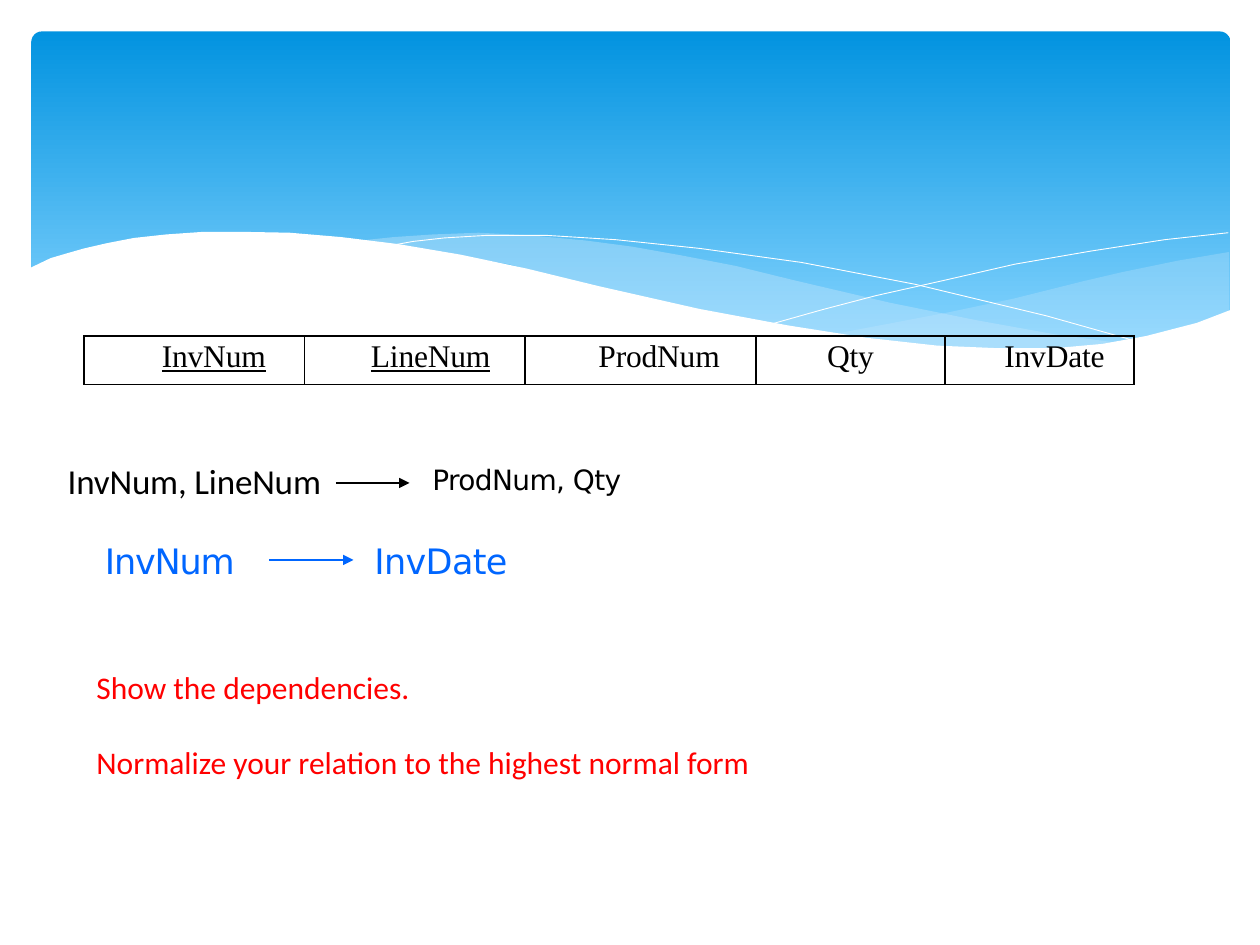
from lxml.etree import SubElement
from pptx import Presentation
from pptx.dml.color import RGBColor
from pptx.enum.shapes import MSO_CONNECTOR, MSO_SHAPE
from pptx.enum.text import MSO_ANCHOR, MSO_AUTO_SIZE, PP_ALIGN
from pptx.oxml.ns import qn
from pptx.util import Pt

BLACK = RGBColor(0x00, 0x00, 0x00)
WHITE = RGBColor(0xFF, 0xFF, 0xFF)
RED = RGBColor(0xFF, 0x00, 0x00)
BLUE = RGBColor(0x00, 0x66, 0xFF)
SKY_TOP = RGBColor(0x02, 0x93, 0xE0)
SKY_BOTTOM = RGBColor(0x83, 0xD3, 0xFE)
MIST = RGBColor(0xC6, 0xE7, 0xFC)

RIGHT_WAVE = [
    (702.5, 144), (673, 149), (641.5, 155.5), (620, 160.5), (580, 170.5),
    (542, 178.5), (508, 185), (476, 191), (507.5, 195), (536.5, 198),
    (562.5, 199.5), (586, 200), (608, 199.5), (628, 198), (646, 195.5),
    (663, 191), (683, 185), (702.5, 178),
]
MIDDLE_WAVE = [
    (643, 196.5), (602.5, 191), (558, 183), (508.5, 173), (453, 160),
    (420.5, 152), (389.5, 146), (361.5, 141), (335, 137.5), (302.5, 134.5),
    (273.5, 133), (247.5, 134), (225, 135.5), (206, 137.5), (246, 143.5),
    (291, 151), (323.5, 160), (381.5, 173), (432.5, 183.5), (479, 191.5),
    (520.5, 197), (556.5, 199.5), (589, 200), (617, 199.5),
]
FALLING_LINE = [
    (222.5, 140.5), (236, 138), (254, 136), (278.5, 134.5), (312, 134.5),
    (352, 137), (400, 142), (458, 150), (523, 162.5), (598, 180.5), (653, 196),
]
RISING_LINE = [
    (441.5, 185), (470, 177), (500.5, 169), (538.5, 160.5), (580, 151),
    (623.5, 143.5), (665.5, 137), (702, 133),
]
WHITE_WAVE = [
    (703.5, 177), (684, 184.5), (655, 192), (630, 196.5), (602.5, 199),
    (571, 199), (535.5, 197.5), (495, 193), (450.5, 186), (399.5, 176.5),
    (342, 163.5), (301, 153.5), (263, 145.5), (227.5, 139.5), (195, 135.5),
    (165.5, 133), (139, 132.5), (116, 132.5), (95, 134), (76.5, 136),
    (61, 139), (48, 142), (37.5, 145), (29, 147.5), (16.5, 153.5),
    (16.5, 237), (703.5, 237),
]


class SlideBuilder:
    sans = "DejaVu Sans"
    body = "Calibri"
    serif = "Times New Roman"

    def __init__(self, slide):
        self.s = slide

    def style(self, p, font, size, color, spacing=0):
        for r in p.runs:
            r.font.name = font
            r.font.size = Pt(size)
            r.font.color.rgb = color
            if spacing:
                r._r.get_or_add_rPr().set("spc", str(round(spacing * 100)))

    def panel(self, x, y, w, h):
        sp = self.s.shapes.add_shape(
            MSO_SHAPE.ROUNDED_RECTANGLE, Pt(x), Pt(y), Pt(w), Pt(h))
        sp.shadow.inherit = False
        sp.adjustments[0] = 0.03
        sp.line.fill.background()
        sp.fill.gradient()
        sp.fill.gradient_angle = 270
        stops = zip(sp.fill.gradient_stops, (0, 0.9), (SKY_TOP, SKY_BOTTOM))
        for stop, position, color in stops:
            stop.position = position
            stop.color.rgb = color

    def outline(self, points, closed):
        emu = [(Pt(x), Pt(y)) for x, y in points]
        builder = self.s.shapes.build_freeform(*emu[0])
        builder.add_line_segments(emu[1:], close=closed)
        sp = builder.convert_to_shape()
        sp.shadow.inherit = False
        return sp

    def wave(self, points, color, opacity=100):
        sp = self.outline(points, True)
        sp.line.fill.background()
        sp.fill.solid()
        sp.fill.fore_color.rgb = color
        if opacity < 100:
            clr = sp._element.spPr.find(qn("a:solidFill"))[0]
            SubElement(clr, qn("a:alpha"), val=str(opacity * 1000))

    def curve(self, points):
        sp = self.outline(points, False)
        sp.fill.background()
        sp.line.color.rgb = WHITE
        sp.line.width = Pt(0.5)

    def title(self, text, x, y, w, h):
        sp = self.s.shapes.title
        sp.left, sp.top, sp.width, sp.height = Pt(x), Pt(y), Pt(w), Pt(h)
        self.s.shapes._spTree.append(sp._element)
        tf = sp.text_frame
        tf.text = text
        tf.auto_size = MSO_AUTO_SIZE.NONE
        tf.vertical_anchor = MSO_ANCHOR.MIDDLE
        tf.margin_left = tf.margin_right = tf.margin_bottom = 0
        tf.margin_top = Pt(1)
        tf.paragraphs[0].alignment = PP_ALIGN.CENTER
        self.style(tf.paragraphs[0], self.body, 20, BLACK, -0.1)

    def label(self, text, x, y, w, h, size, color, spacing):
        sp = self.s.shapes.add_textbox(Pt(x), Pt(y), Pt(w), Pt(h))
        tf = sp.text_frame
        tf.word_wrap = True
        tf.margin_left = tf.margin_right = tf.margin_bottom = 0
        tf.margin_top = Pt(1)
        tf.text = text
        self.style(tf.paragraphs[0], self.sans, size, color, spacing)
        return sp

    def notice(self, lines, x, y, w, h, gap):
        tf = self.s.shapes.add_textbox(Pt(x), Pt(y), Pt(w), Pt(h)).text_frame
        tf.word_wrap = True
        tf.text = "\n".join(lines)
        for p in tf.paragraphs:
            self.style(p, self.body, 18, RED)
        for p in tf.paragraphs[1:]:
            p.space_before = Pt(gap)

    def arrow(self, x1, x2, y, color, source=None):
        cxn = self.s.shapes.add_connector(
            MSO_CONNECTOR.STRAIGHT, Pt(x1), Pt(y), Pt(x2), Pt(y))
        if source is not None:
            cxn.begin_connect(source, 3)
        cxn.line.color.rgb = color
        cxn.line.width = Pt(1)
        SubElement(cxn.line._get_or_add_ln(), qn("a:tailEnd"), type="triangle")
        SubElement(cxn._element.spPr, qn("a:effectLst"))

    def relation(self, columns, x, y, h):
        total = sum(width for _, width, _, _ in columns)
        frame = self.s.shapes.add_table(
            1, len(columns), Pt(x), Pt(y), Pt(total), Pt(h))
        table = frame.table
        table.first_row = table.horz_banding = False
        table.rows[0].height = Pt(h)
        for i, (name, width, indent, is_key) in enumerate(columns):
            table.columns[i].width = Pt(width)
            cell = table.cell(0, i)
            cell.margin_left = Pt(indent)
            cell.margin_right = cell.margin_bottom = 0
            cell.margin_top = Pt(2)
            cell.text = name
            p = cell.text_frame.paragraphs[0]
            p.alignment = PP_ALIGN.LEFT if indent else PP_ALIGN.CENTER
            self.style(p, self.serif, 18, BLACK, -0.1)
            p.runs[0].font.underline = is_key
            self.borders(cell)
            cell.fill.background()

    def borders(self, cell):
        for side in ("a:lnL", "a:lnR", "a:lnT", "a:lnB"):
            ln = SubElement(cell._tc.get_or_add_tcPr(), qn(side), w=str(Pt(0.75)))
            fill = SubElement(ln, qn("a:solidFill"))
            SubElement(fill, qn("a:srgbClr"), val=str(BLACK))


def main():
    prs = Presentation()
    prs.slide_width, prs.slide_height = Pt(720), Pt(540)
    b = SlideBuilder(prs.slides.add_slide(prs.slide_layouts[5]))

    b.panel(18, 18, 685, 194.5)
    b.wave(RIGHT_WAVE, MIST, 29)
    b.wave(MIDDLE_WAVE, MIST, 40)
    b.curve(FALLING_LINE)
    b.curve(RISING_LINE)
    b.wave(WHITE_WAVE, WHITE)

    b.relation([
        ("InvNum", 126, 44.5, True),
        ("LineNum", 126, 38, True),
        ("ProdNum", 132, 42, False),
        ("Qty", 108, 0, False),
        ("InvDate", 108, 34, False),
    ], 48, 192, 27.5)

    b.title("InvNum, LineNum", 18, 261.5, 186, 25)
    b.arrow(192, 234, 276, BLACK)
    b.label("ProdNum, Qty", 247, 263.5, 239, 20, 16, BLACK, -0.3)

    key = b.label("InvNum", 60, 307.5, 94, 25, 20, BLUE, -0.7)
    b.arrow(154, 202, 320, BLUE, key)
    b.label("InvDate", 214, 307.5, 98, 25, 20, BLUE, -0.4)

    b.notice(["Show the dependencies.",
              "Normalize your relation to the highest normal form"],
             48, 378, 564, 73, 21.5)
    prs.save("out.pptx")


if __name__ == "__main__":
    main()
